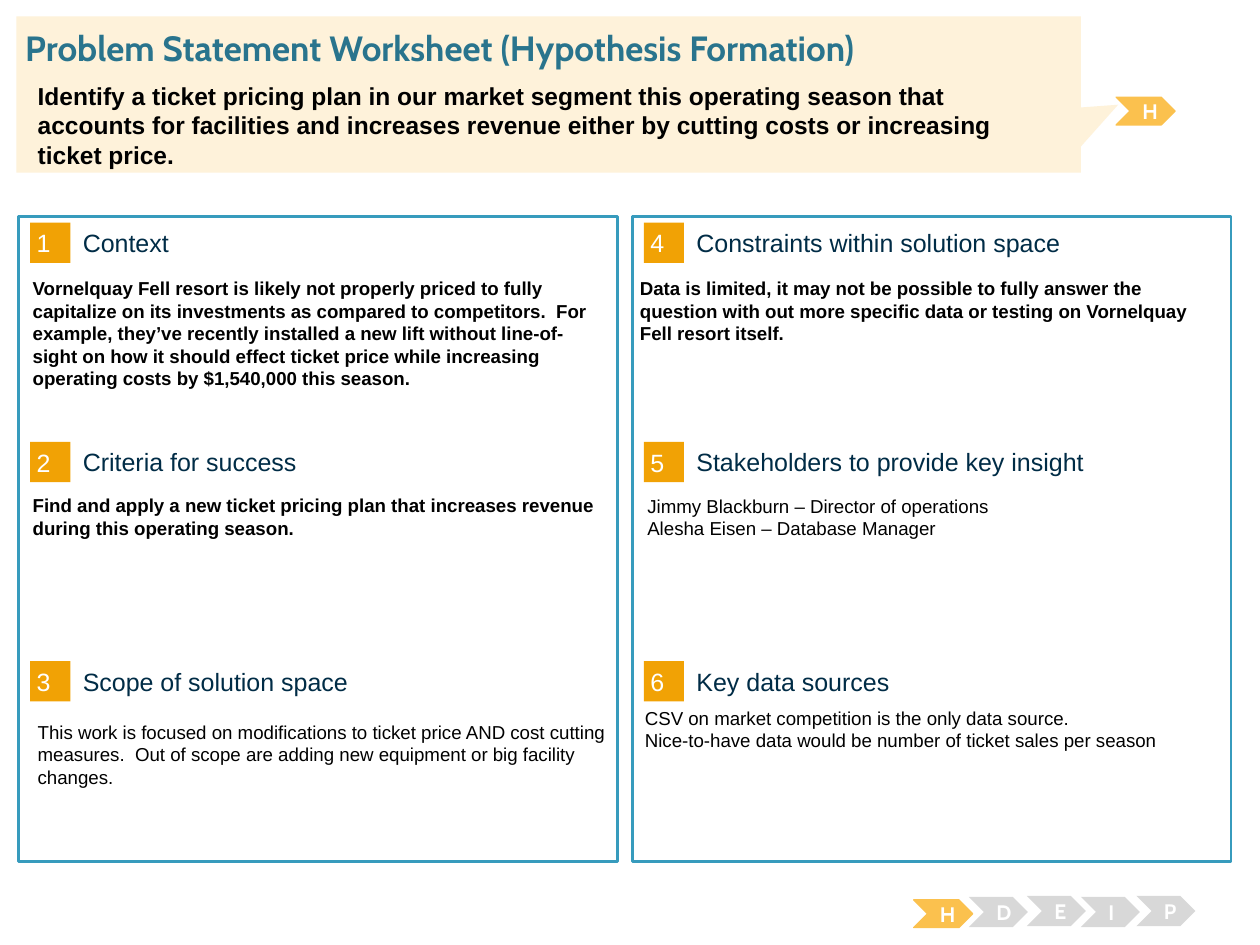
"""Build the problem statement worksheet slide."""
from pptx import Presentation
from pptx import util as u
from pptx.dml.color import RGBColor
from pptx.enum import shapes, text

COLORS = {
    "white": "FFFFFF", "black": "000000", "border": "379BBD", "badge": "F1A205",
    "heading": "002C46", "title": "29748D", "callout": "FEF2DA",
    "active": "FBC14E", "inactive": "D8D8D8",
}
TITLE = "Problem Statement Worksheet (Hypothesis Formation)"
PROBLEM = (
    "Identify a ticket pricing plan in our market segment this operating season that "
    "accounts for facilities and increases revenue either by cutting costs or increasing "
    "ticket price."
)
SECTIONS = [
    ("Context", (0.41, 5.46), True,
     "Vornelquay Fell resort is likely not properly priced to fully capitalize on its "
     "investments as compared to competitors.  For example, they’ve recently installed a "
     "new lift without line-of-sight on how it should effect ticket price while increasing "
     "operating costs by $1,540,000 this season."),
    ("Criteria for success", (0.41, 9.83), True,
     "Find and apply a new ticket pricing plan that increases revenue during this "
     "operating season."),
    ("Scope of solution space", (0.51, 14.4), False,
     "This work is focused on modifications to ticket price AND cost cutting measures.  "
     "Out of scope are adding new equipment or big facility changes."),
    ("Constraints within solution space", (12.65, 5.46), True,
     "Data is limited, it may not be possible to fully answer the question with out more "
     "specific data or testing on Vornelquay Fell resort itself."),
    ("Stakeholders to provide key insight", (12.8, 9.84), False,
     "Jimmy Blackburn – Director of operations\nAlesha Eisen – Database Manager"),
    ("Key data sources", (12.75, 14.12), False,
     "CSV on market competition is the only data source.\n"
     "Nice-to-have data would be number of ticket sales per season"),
]
STAGES = [
    ("H", 18.42, 18.14, True), ("D", 19.53, 18.08, False), ("E", 20.7, 18.06, False),
    ("I", 21.79, 18.08, False), ("P", 22.91, 18.06, False), ("H", 22.5, 1.96, True),
]
PANEL_LEFT, PANEL_TOP, PANEL_WIDTH, PANEL_HEIGHT = 0.38, 4.37, 12.07, 13
COLUMN_STEP, ROW_STEP, ROWS = 12.37, 4.42, 3
BADGE_LEFT, BADGE_TOP, BADGE_SIZE = 0.61, 4.49, 0.81
BADGE_INSETS, BODY_INSETS, NO_INSETS = (0.13, 0.13), (0.25, 0.13), (0, 0)


def color(name):
    return RGBColor.from_string(COLORS[name])


def write(shape, content, size, ink, insets, font="Arial", bold=False,
          anchor=text.MSO_ANCHOR.TOP, align=text.PP_ALIGN.LEFT):
    frame = shape.text_frame
    frame.text = content
    frame.word_wrap = True
    frame.vertical_anchor = anchor
    frame.margin_left = frame.margin_right = u.Cm(insets[0])
    frame.margin_top = frame.margin_bottom = u.Cm(insets[1])
    for paragraph in frame.paragraphs:
        paragraph.alignment = align
        for run in paragraph.runs:
            run.font.name, run.font.size, run.font.bold = font, u.Pt(size), bold
            run.font.color.rgb = color(ink)


def add_shape(slide, kind, box, fill, line=None, line_width=0.75):
    shape = slide.shapes.add_shape(kind, *map(u.Cm, box))
    shape.shadow.inherit = False
    shape.fill.solid()
    shape.fill.fore_color.rgb = color(fill)
    if line:
        shape.line.color.rgb = color(line)
        shape.line.width = u.Pt(line_width)
    else:
        shape.line.fill.background()
    return shape


def add_text(slide, box, *content, **style):
    write(slide.shapes.add_textbox(*map(u.Cm, box)), *content, **style)


def add_panels(slide):
    for column in range(2):
        box = (PANEL_LEFT + column * COLUMN_STEP, PANEL_TOP, PANEL_WIDTH, PANEL_HEIGHT)
        add_shape(slide, shapes.MSO_SHAPE.RECTANGLE, box, "white", "border", 1.5)


def add_sections(slide):
    middle = text.MSO_ANCHOR.MIDDLE
    for index, (heading, body_at, bold, body) in enumerate(SECTIONS):
        column, row = divmod(index, ROWS)
        left = BADGE_LEFT + column * COLUMN_STEP
        top = BADGE_TOP + row * ROW_STEP
        badge = add_shape(slide, shapes.MSO_SHAPE.RECTANGLE,
                          (left, top, BADGE_SIZE, BADGE_SIZE), "badge")
        write(badge, str(index + 1), 14.3, "white", BADGE_INSETS, anchor=middle)
        add_text(slide, (left + 1.06, top + 0.08, 9.98, 0.64), heading, 14.3, "heading",
                 NO_INSETS, anchor=middle)
        add_text(slide, (*body_at, 12.01, 3), body, 10.7, "black", BODY_INSETS, bold=bold)


def add_stages(slide):
    for letter, left, top, active in STAGES:
        fill = "active" if active else "inactive"
        chevron = add_shape(slide, shapes.MSO_SHAPE.CHEVRON,
                            (left, top, 1.19, 0.56 if active else 0.61),
                            fill, "active" if active else None)
        write(chevron, letter, 12, "white", BODY_INSETS, font="Cabin", bold=True,
              anchor=text.MSO_ANCHOR.MIDDLE, align=text.PP_ALIGN.CENTER)


def add_header(slide):
    callout = add_shape(slide, shapes.MSO_SHAPE.RECTANGULAR_CALLOUT,
                        (0.33, 0.33, 21.46, 3.15), "callout")
    callout.adjustments[0], callout.adjustments[1] = 0.535, 0.066
    add_text(slide, (0.51, 0.53, 24.43, 0.86), TITLE, 20, "title", NO_INSETS,
             font="Cabin", bold=True)
    add_text(slide, (0.51, 1.5, 21.03, 1.98), PROBLEM, 14, "black", BODY_INSETS, bold=True)


def main():
    presentation = Presentation()
    presentation.slide_width, presentation.slide_height = u.Cm(25.4), u.Cm(19.05)
    slide = presentation.slides.add_slide(presentation.slide_layouts[6])
    add_panels(slide)
    add_sections(slide)
    add_stages(slide)
    add_header(slide)
    presentation.save("out.pptx")


if __name__ == "__main__":
    main()
